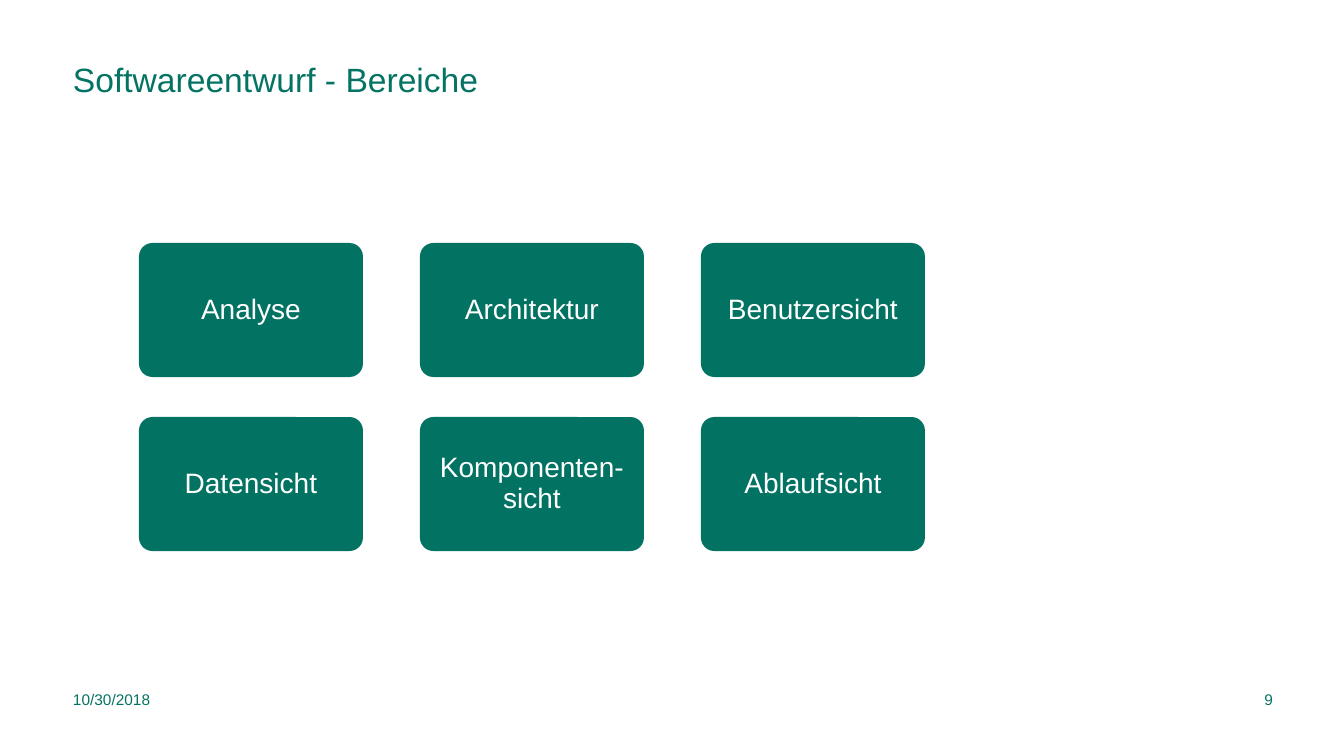
from dataclasses import dataclass

from pptx import Presentation
from pptx import util as u
from pptx.dml import color
from pptx.enum import shapes, text

SCALE = 914400 / 100.8


@dataclass(frozen=True)
class Theme:
    font: str = "Arial"
    ink: str = "047364"
    card: str = "027262"
    light: str = "FFFFFF"
    head: int = 24
    body: int = 20
    small: int = 11


THEME = Theme()
LEFT, MID, RIGHT = text.PP_ALIGN.LEFT, text.PP_ALIGN.CENTER, text.PP_ALIGN.RIGHT
TOP, CENTER = text.MSO_ANCHOR.TOP, text.MSO_ANCHOR.MIDDLE


def px(n):
    return u.Emu(round(n * SCALE))


def rgb(tone):
    return color.RGBColor.from_string(tone)


def write(shape, words, size, tone, align=LEFT, anchor=CENTER, pad=0, space=1.0):
    frame = shape.text_frame
    frame.word_wrap = True
    frame.vertical_anchor = anchor
    frame.margin_left = frame.margin_right = px(pad)
    frame.margin_top = frame.margin_bottom = px(pad)
    para = frame.paragraphs[0]
    para.alignment = align
    para.line_spacing = space
    run = para.add_run()
    run.text = words
    run.font.name = THEME.font
    run.font.size = u.Pt(size)
    run.font.color.rgb = rgb(tone)


def label(slide, box, words, size, **style):
    shape = slide.shapes.add_textbox(*map(px, box))
    write(shape, words, size, THEME.ink, **style)


def title(slide, box, words):
    label(slide, box, words, THEME.head, anchor=TOP, space=0.9)


def footer(slide, box, date, number):
    x, y, w, h = box
    wide, slim = 199, 59
    label(slide, (x, y, wide, h), date, THEME.small)
    label(slide, (x + w - slim, y, slim, h), number, THEME.small, align=RIGHT)


def card(slide, box, words):
    shape = slide.shapes.add_shape(
        shapes.MSO_SHAPE.ROUNDED_RECTANGLE, *map(px, box))
    shape.adjustments[0] = 0.1
    shape.shadow.inherit = False
    shape.fill.solid()
    shape.fill.fore_color.rgb = rgb(THEME.card)
    shape.line.fill.background()
    write(shape, words, THEME.body, THEME.light, align=MID, pad=14, space=0.9)


def grid(slide, box, rows, gaps):
    x, y, w, h = box
    across, down = gaps
    wide = (w + across) / len(rows[0]) - across
    high = (h + down) / len(rows) - down
    for i, row in enumerate(rows):
        for j, words in enumerate(row):
            place = (x + j * (wide + across), y + i * (high + down), wide, high)
            card(slide, place, words)


def main():
    deck = Presentation()
    deck.slide_width, deck.slide_height = px(1344), px(756)
    slide = deck.slides.add_slide(deck.slide_layouts[6])
    title(slide, (73, 63, 853, 99), "Softwareentwurf - Bereiche")
    areas = [
        ["Analyse", "Architektur", "Benutzersicht"],
        ["Datensicht", "Komponenten-sicht", "Ablaufsicht"],
    ]
    grid(slide, (139, 243, 786, 308), areas, (57, 40))
    footer(slide, (73, 683, 1200, 33), "10/30/2018", "9")
    deck.save("out.pptx")


main()
